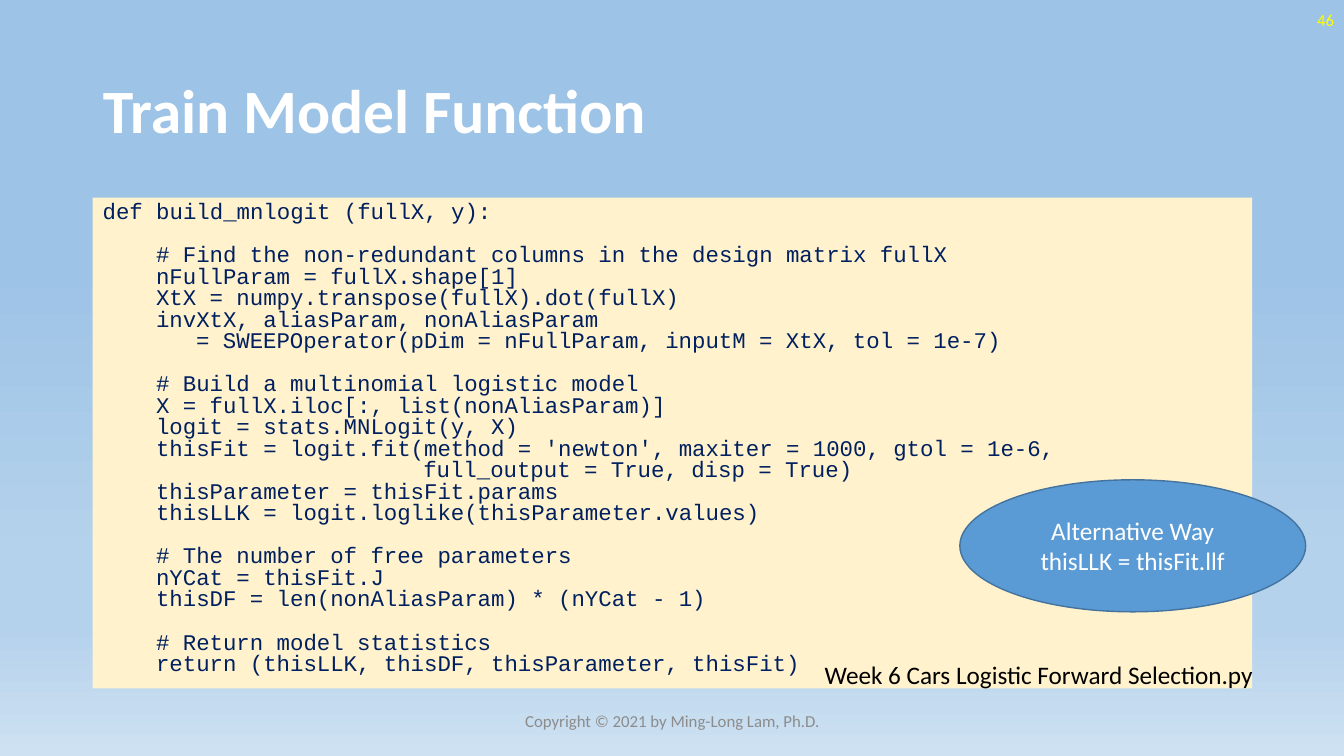
from dataclasses import dataclass

from lxml import etree
from pptx import Presentation
from pptx.dml.color import RGBColor
from pptx.enum.shapes import MSO_SHAPE
from pptx.enum.text import MSO_ANCHOR, MSO_AUTO_SIZE, PP_ALIGN
from pptx.oxml.ns import qn
from pptx.util import Emu, Pt

PX = 9144
RECTANGLE, OVAL = MSO_SHAPE.RECTANGLE, MSO_SHAPE.OVAL
TOP, MIDDLE = MSO_ANCHOR.TOP, MSO_ANCHOR.MIDDLE
LEFT, CENTER, RIGHT = PP_ALIGN.LEFT, PP_ALIGN.CENTER, PP_ALIGN.RIGHT
GROW = MSO_AUTO_SIZE.SHAPE_TO_FIT_TEXT


@dataclass(frozen=True)
class Theme:
    sky: tuple = ((35, "9DC3E6"), (74, "B5D2EC"), (83, "B5D2EC"), (100, "CEE1F2"))
    panel: str = "FFF2CC"
    code: str = "002060"
    white: str = "FFFFFF"
    black: str = "000000"
    number: str = "FFFF00"
    footer: str = "8C8C8C"
    callout: str = "5B9BD5"
    callout_line: str = "43739E"
    font: str = "Calibri"
    code_font: str = "Courier New"
    title_size: int = 44
    text_size: int = 18
    code_size: int = 16
    small_size: int = 12


THEME = Theme()
CODE_INDENT = 53
CODE_GAP = 15.4

CODE_BLOCKS = (
    ((0, "def build_mnlogit (fullX, y):"),),
    (
        (4, "# Find the non-redundant columns in the design matrix fullX"),
        (4, "nFullParam = fullX.shape[1]"),
        (4, "XtX = numpy.transpose(fullX).dot(fullX)"),
        (4, "invXtX, aliasParam, nonAliasParam"),
        (7, "= SWEEPOperator(pDim = nFullParam, inputM = XtX, tol = 1e-7)"),
    ),
    (
        (4, "# Build a multinomial logistic model"),
        (4, "X = fullX.iloc[:, list(nonAliasParam)]"),
        (4, "logit = stats.MNLogit(y, X)"),
        (4, "thisFit = logit.fit(method = 'newton', maxiter = 1000, gtol = 1e-6,"),
        (24, "full_output = True, disp = True)"),
        (4, "thisParameter = thisFit.params"),
        (4, "thisLLK = logit.loglike(thisParameter.values)"),
    ),
    (
        (4, "# The number of free parameters"),
        (4, "nYCat = thisFit.J"),
        (4, "thisDF = len(nonAliasParam) * (nYCat - 1)"),
    ),
    (
        (4, "# Return model statistics"),
        (4, "return (thisLLK, thisDF, thisParameter, thisFit)"),
    ),
)


def color(value):
    return RGBColor.from_string(value)


def emu(box):
    return [Emu(length * PX) for length in box]


def format_text(frame, size, ink, align=LEFT, anchor=TOP, font=THEME.font, bold=False):
    frame.vertical_anchor = anchor
    for para in frame.paragraphs:
        para.alignment = align
        for span in para.runs:
            span.font.name = font
            span.font.size = Pt(size)
            span.font.bold = bold
            span.font.color.rgb = color(ink)


def add_filled_shape(page, kind, box, fill):
    shape = page.shapes.add_shape(kind, *emu(box))
    shape.shadow.inherit = False
    shape.fill.solid()
    shape.fill.fore_color.rgb = color(fill)
    shape.line.fill.background()
    shape.text_frame.word_wrap = True
    return shape


def paint_background(page):
    fill = page.background.fill
    fill.gradient()
    gradient = page.background._cSld.find(".//" + qn("a:gradFill"))
    for child in list(gradient):
        gradient.remove(child)
    stops = etree.SubElement(gradient, qn("a:gsLst"))
    for percent, value in THEME.sky:
        stop = etree.SubElement(stops, qn("a:gs"), pos=str(percent * 1000))
        etree.SubElement(stop, qn("a:srgbClr"), val=value)
    etree.SubElement(gradient, qn("a:lin"), ang="5400000", scaled="0")


def place_title(page, box, text):
    title = page.shapes.title
    title.left, title.top, title.width, title.height = emu(box)
    title.text_frame.text = text
    title.text_frame.word_wrap = True
    title.text_frame.paragraphs[0].line_spacing = 0.9
    format_text(title.text_frame, THEME.title_size, THEME.white, anchor=MIDDLE, bold=True)


def add_code_panel(page, box, blocks):
    frame = add_filled_shape(page, RECTANGLE, box, THEME.panel).text_frame
    frame.text = "\n".join(line for block in blocks for _, line in block)
    paras = iter(frame.paragraphs)
    for block_index, block in enumerate(blocks):
        for line_index, (columns, _) in enumerate(block):
            para = next(paras)
            para.line_spacing = 0.8
            starts_block = block_index > 0 and line_index == 0
            para.space_before = Pt(CODE_GAP if starts_block else 0)
            margin = columns * CODE_INDENT * PX // 4
            para._p.get_or_add_pPr().set("marL", str(margin))
    format_text(frame, THEME.code_size, THEME.code, font=THEME.code_font)


def add_label(page, box, text, size, ink, align=LEFT, anchor=MIDDLE, wrap=True):
    frame = page.shapes.add_textbox(*emu(box)).text_frame
    frame.text = text
    frame.word_wrap = wrap
    if not wrap:
        frame.auto_size = GROW
    format_text(frame, size, ink, align, anchor)


def add_callout(page, box, text):
    callout = add_filled_shape(page, OVAL, box, THEME.callout)
    callout.line.color.rgb = color(THEME.callout_line)
    callout.line.width = Pt(1)
    callout.text_frame.text = text
    format_text(callout.text_frame, THEME.text_size, THEME.white, CENTER, MIDDLE)


def build_code_page(deck):
    page = deck.slides.add_slide(deck.slide_layouts[5])
    paint_background(page)
    add_code_panel(page, (92, 196, 1150, 487), CODE_BLOCKS)
    place_title(page, (92, 40, 1150, 145), "Train Model Function")
    add_label(page, (1033, 0, 300, 40), "46", THEME.small_size, THEME.number, RIGHT)
    add_label(page, (808, 649, 450, 40), "Week 6 Cars Logistic Forward Selection.py",
              THEME.text_size, THEME.black, anchor=TOP, wrap=False)
    add_label(page, (442, 695, 450, 40), "Copyright © 2021 by Ming-Long Lam, Ph.D.",
              THEME.small_size, THEME.footer, CENTER)
    add_callout(page, (952, 476, 343, 131), "Alternative Way\nthisLLK = thisFit.llf")


def main():
    deck = Presentation()
    deck.slide_width, deck.slide_height = emu((1333, 750))
    build_code_page(deck)
    deck.save("out.pptx")


if __name__ == "__main__":
    main()
